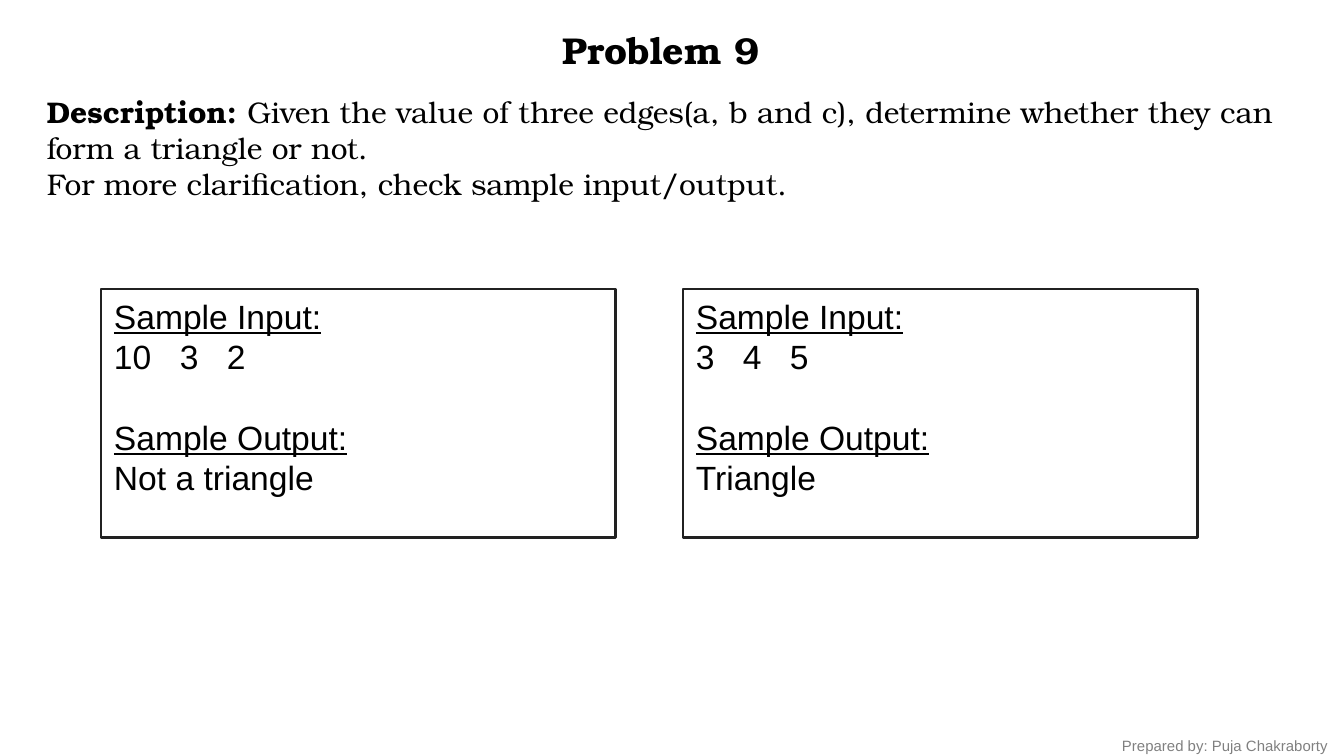
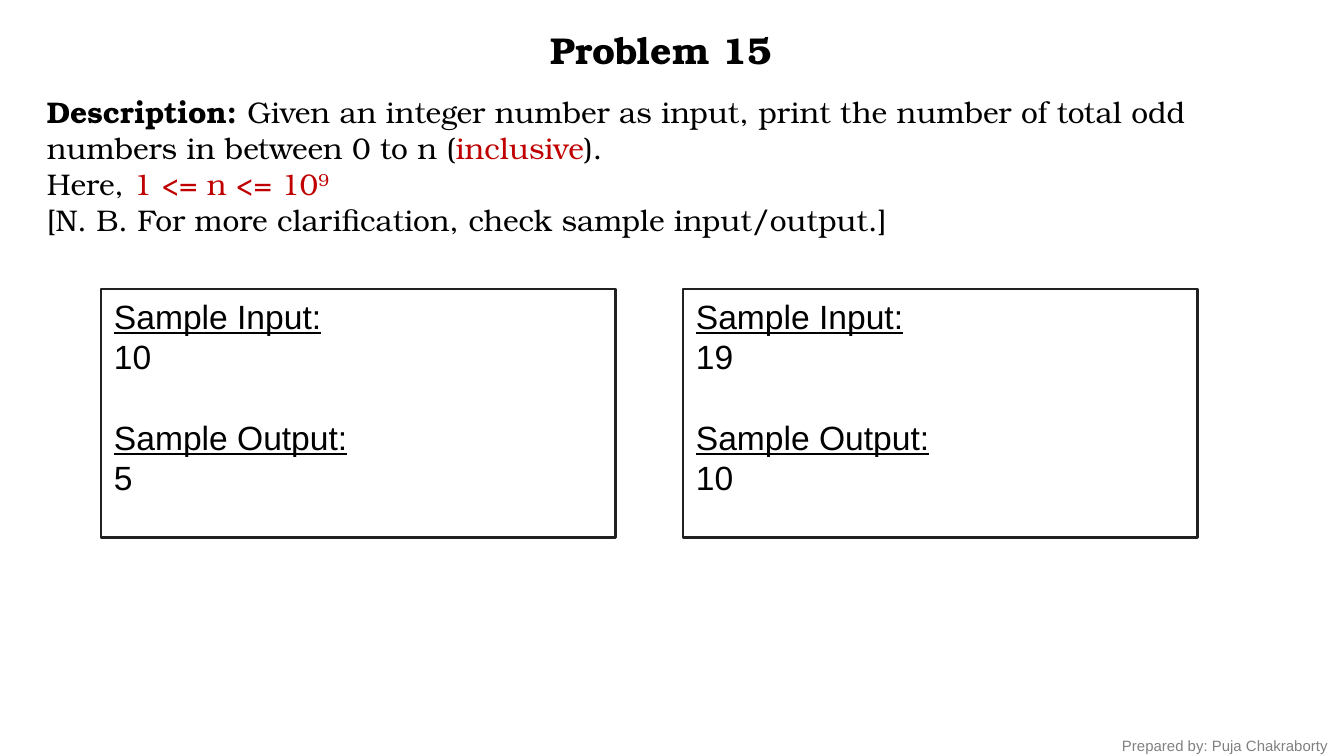
from pptx import Presentation
from pptx.dml.color import RGBColor
from pptx.enum import shapes, text
from pptx.util import Inches, Pt
from lxml import etree

BLACK = RGBColor(0, 0, 0)
RED = RGBColor(0xC0, 0, 0)
GRAY = RGBColor(0x80, 0x80, 0x80)
EDGE = RGBColor(0x21, 0x21, 0x21)
SERIF, SANS = "TeX Gyre Bonum", "Arial"
DIGIT, GAP = 0.14, 0.21  # digit width and gap between input values, inches
LINE = Pt(21.6)

PROBLEMS = [
    ("Problem 9",
     [[("Description: ", "bold"),
       ("Given the value of three edges(a, b and c), determine whether "
        "they can form a triangle or not.", "")],
      [("For more clarification, check sample input/output.", "")]],
     [(["10", "3", "2"], "Not a triangle"), (["3", "4", "5"], "Triangle")]),
    ("Problem 15",
     [[("Description: ", "bold"),
       ("Given an integer number as input, print the number of total odd "
        "numbers in between 0 to n (", ""),
       ("inclusive", "red"), (").", "")],
      [("Here, ", ""), ("1 <= n <= 10", "red"), ("9", "red super")],
      [("[N. B. For more clarification, check sample input/output.]", "")]],
     [(["10"], "5"), (["19"], "10")]),
]


def style(item, size, face, color=BLACK):
    font = item.font
    font.size, font.name = Pt(size), face
    font.color.rgb = color


def add_lines(frame, count):
    """Return count paragraphs of a new text frame."""
    return [frame.paragraphs[0]] + [frame.add_paragraph() for _ in range(count - 1)]


def add_box(slide, left, top, width, height):
    box = slide.shapes.add_textbox(*map(Inches, (left, top, width, height)))
    box.text_frame.word_wrap = True
    return box.text_frame


def set_title(slide, words):
    title = slide.shapes.title
    title.left, title.top = Inches(2.17), Inches(0.15)
    title.width, title.height = Inches(5.5), Inches(0.44)
    frame = title.text_frame
    frame.text = words
    frame.vertical_anchor = text.MSO_ANCHOR.TOP
    frame.auto_size = text.MSO_AUTO_SIZE.NONE
    para = frame.paragraphs[0]
    para.alignment = text.PP_ALIGN.CENTER
    style(para, 20, SERIF)
    para.font.bold = True


def add_story(slide, lines):
    frame = add_box(slide, 0.25, 0.65, 9.58, 1.18)
    for para, parts in zip(add_lines(frame, len(lines)), lines):
        style(para, 16, SERIF)
        for words, look in parts:
            run = para.add_run()
            run.text = words
            style(run, 16, SERIF, RED if "red" in look else BLACK)
            run.font.bold = "bold" in look
            if "super" in look:
                run.font._element.set("baseline", "30000")


def add_tabs(para, values):
    """Put a tab stop one gap after the end of each value but the last."""
    props = para._p.get_or_add_pPr()
    space = props.tag.split("}")[0] + "}"
    stops = etree.Element(space + "tabLst")
    place = 0
    for value in values[:-1]:
        place += DIGIT * len(value) + GAP
        etree.SubElement(stops, space + "tab", pos=str(Inches(place)), algn="l")
    props.find(space + "defRPr").addprevious(stops)


def add_sample(slide, left, values, answer):
    box = slide.shapes.add_shape(shapes.MSO_SHAPE.RECTANGLE, Inches(left),
                                 Inches(2.15), Inches(3.83), Inches(1.85))
    box.shadow.inherit = False
    box.fill.background()
    box.line.color.rgb = EDGE
    box.line.width = Pt(1.25)
    frame = box.text_frame
    frame.vertical_anchor = text.MSO_ANCHOR.TOP
    lines = ["Sample Input:", "\t".join(values), "Sample Output:", answer]
    paras = add_lines(frame, len(lines))
    for para, words in zip(paras, lines):
        para.text = words
        para.alignment = text.PP_ALIGN.LEFT
        para.line_spacing = LINE
        style(para, 18, SANS)
        para.font.underline = words.endswith(":")
    paras[2].space_before = LINE
    if len(values) > 1:
        add_tabs(paras[1], values)


def add_footer(slide):
    para = add_box(slide, 8.25, 5.43, 1.83, 0.24).paragraphs[0]
    para.text = "Prepared by: Puja Chakraborty"
    style(para, 8, SANS, GRAY)


def main():
    deck = Presentation()
    deck.slide_width = Inches(10)
    deck.slide_height = deck.slide_width * 9 // 16
    for title, story, samples in PROBLEMS:
        slide = deck.slides.add_slide(deck.slide_layouts[5])
        set_title(slide, title)
        add_story(slide, story)
        add_footer(slide)
        for index, (values, answer) in enumerate(samples):
            add_sample(slide, 0.75 + 4.33 * index, values, answer)
    deck.save("out.pptx")


if __name__ == "__main__":
    main()
